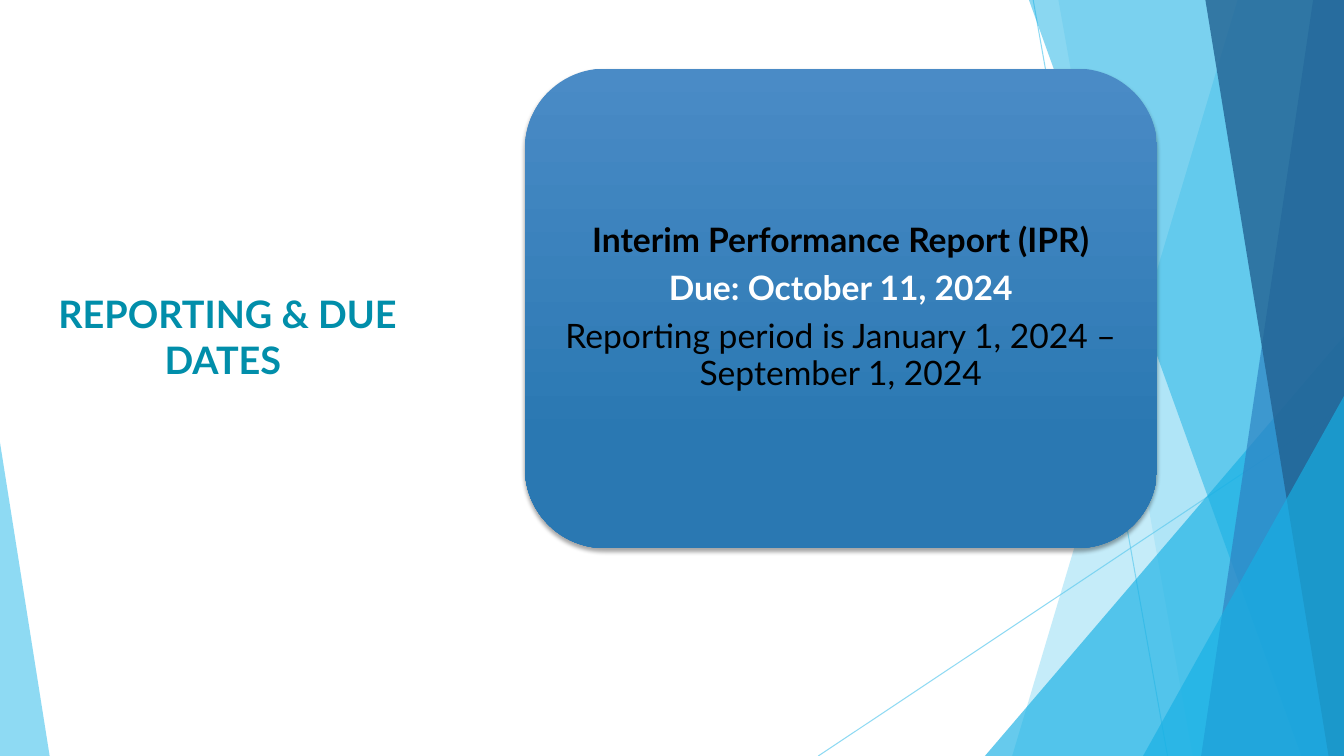
from dataclasses import dataclass

from lxml import etree
from pptx import Presentation
from pptx import oxml
from pptx import util as u
from pptx.dml.color import RGBColor
from pptx.enum import shapes, text
from pptx.oxml.ns import qn

WIDTH, HEIGHT = 960, 540


@dataclass(frozen=True)
class Theme:
    font: str = "Lato"
    title_size: int = 27
    body_size: int = 24
    title: str = "018EAA"
    black: str = "000000"
    white: str = "FFFFFF"
    sky: str = "5FCBEF"
    cyan: str = "17B0E4"
    blue: str = "2E83C3"
    navy: str = "226292"
    card_top: str = "4A8BC6"
    card_bottom: str = "2A78B2"


class SlideBuilder:
    def __init__(self, page, theme):
        self.page = page
        self.theme = theme

    def set_alpha(self, fill, percent):
        color = fill._xPr.find(".//" + qn("a:srgbClr"))
        etree.SubElement(color, qn("a:alpha"), val=str(percent * 1000))

    def paint(self, shape, color, alpha):
        shape.shadow.inherit = False
        shape.fill.solid()
        shape.fill.fore_color.rgb = RGBColor.from_string(color)
        self.set_alpha(shape.fill, alpha)
        shape.line.fill.background()

    def line(self, x1, y1, x2, y2, color, alpha):
        connector = self.page.shapes.add_connector(
            shapes.MSO_CONNECTOR.STRAIGHT, u.Pt(x1), u.Pt(y1), u.Pt(x2), u.Pt(y2))
        connector.line.width = u.Pt(0.75)
        connector.line.fill.solid()
        connector.line.color.rgb = RGBColor.from_string(color)
        self.set_alpha(connector.line.fill, alpha)
        etree.SubElement(connector._element.spPr, qn("a:effectLst"))

    def beam(self, top_x, bottom_x, color, alpha):
        """Full-height band from a slanted left edge to the slide's right edge."""
        builder = self.page.shapes.build_freeform(u.Pt(top_x), 0)
        corners = [(WIDTH, 0), (WIDTH, HEIGHT), (bottom_x, HEIGHT)]
        builder.add_line_segments([(u.Pt(x), u.Pt(y)) for x, y in corners], close=True)
        self.paint(builder.convert_to_shape(), color, alpha)

    def corner(self, left, top, right, apex, color, alpha):
        """Triangle standing on the bottom edge; apex 0 is left, 1 is right."""
        triangle = self.page.shapes.add_shape(
            shapes.MSO_SHAPE.ISOSCELES_TRIANGLE, u.Pt(left), u.Pt(top),
            u.Pt(right - left), u.Pt(HEIGHT - top))
        triangle.adjustments[0] = apex
        self.paint(triangle, color, alpha)

    def card(self, left, top, width, height):
        card = self.page.shapes.add_shape(
            shapes.MSO_SHAPE.ROUNDED_RECTANGLE,
            u.Pt(left), u.Pt(top), u.Pt(width), u.Pt(height))
        card.fill.gradient()
        card.fill.gradient_angle = 270
        stops = [(0, self.theme.card_top), (0.78, self.theme.card_bottom)]
        for stop, (position, color) in zip(card.fill.gradient_stops, stops):
            stop.position = position
            stop.color.rgb = RGBColor.from_string(color)
        card.line.fill.background()
        card.shadow.inherit = False
        effects = card._element.spPr.find(qn("a:effectLst"))
        effects.append(oxml.parse_xml(
            '<a:outerShdw xmlns:a="http://schemas.openxmlformats.org/drawingml/2006/main"'
            f' blurRad="{u.Pt(3)}" dist="{u.Pt(2)}" dir="5400000" rotWithShape="0">'
            f'<a:srgbClr val="{self.theme.black}"><a:alpha val="35000"/></a:srgbClr>'
            '</a:outerShdw>'))

    def text(self, left, top, width, height, lines, size, inset=3.6,
             spacing=1.0, after=0):
        """Centred text; each line is (wording, colour, bold)."""
        box = self.page.shapes.add_textbox(
            u.Pt(left), u.Pt(top), u.Pt(width), u.Pt(height))
        frame = box.text_frame
        frame.word_wrap = True
        frame.vertical_anchor = text.MSO_ANCHOR.MIDDLE
        frame.margin_left = frame.margin_right = u.Pt(7.2)
        frame.margin_top = frame.margin_bottom = u.Pt(inset)
        for index, (wording, color, bold) in enumerate(lines):
            para = frame.add_paragraph() if index else frame.paragraphs[0]
            para.text = wording
            para.alignment = text.PP_ALIGN.CENTER
            para.line_spacing = spacing
            para.space_after = u.Pt(after)
            para.font.name = self.theme.font
            para.font.size = u.Pt(size)
            para.font.bold = bold
            para.font.color.rgb = RGBColor.from_string(color)


def main():
    deck = Presentation()
    deck.slide_width, deck.slide_height = u.Pt(WIDTH), u.Pt(HEIGHT)
    theme = Theme()
    slide = SlideBuilder(deck.slides.add_slide(deck.slide_layouts[6]), theme)

    # Faceted background
    slide.line(738, 0, 834, HEIGHT, theme.sky, 70)
    slide.line(WIDTH, 290, 584.5, HEIGHT, theme.sky, 70)
    slide.beam(884, 723, theme.sky, 36)
    slide.beam(756, 852, theme.sky, 20)
    slide.corner(703.5, 240, WIDTH, 1, theme.cyan, 66)
    slide.beam(735, 929.5, theme.cyan, 50)
    slide.beam(938, 858, theme.blue, 70)
    slide.beam(861, 949, theme.navy, 80)
    slide.corner(816.5, 283, WIDTH, 1, theme.cyan, 66)
    slide.corner(0, 316, 35.5, 0, theme.sky, 70)

    # Title
    slide.text(22.5, 79, 280, 322.5,
               [("REPORTING & DUE DATES ", theme.title, True)], theme.title_size)

    # Report card
    slide.card(375, 49, 451.5, 342.5)
    slide.text(391.5, 65.5, 418, 309, [
        ("Interim Performance Report (IPR)", theme.black, True),
        ("Due: October 11, 2024", theme.white, True),
        ("Reporting period is January 1, 2024 – September 1, 2024", theme.black, False),
    ], theme.body_size, inset=7.2, spacing=0.9, after=8.4)

    deck.save("out.pptx")


if __name__ == "__main__":
    main()
